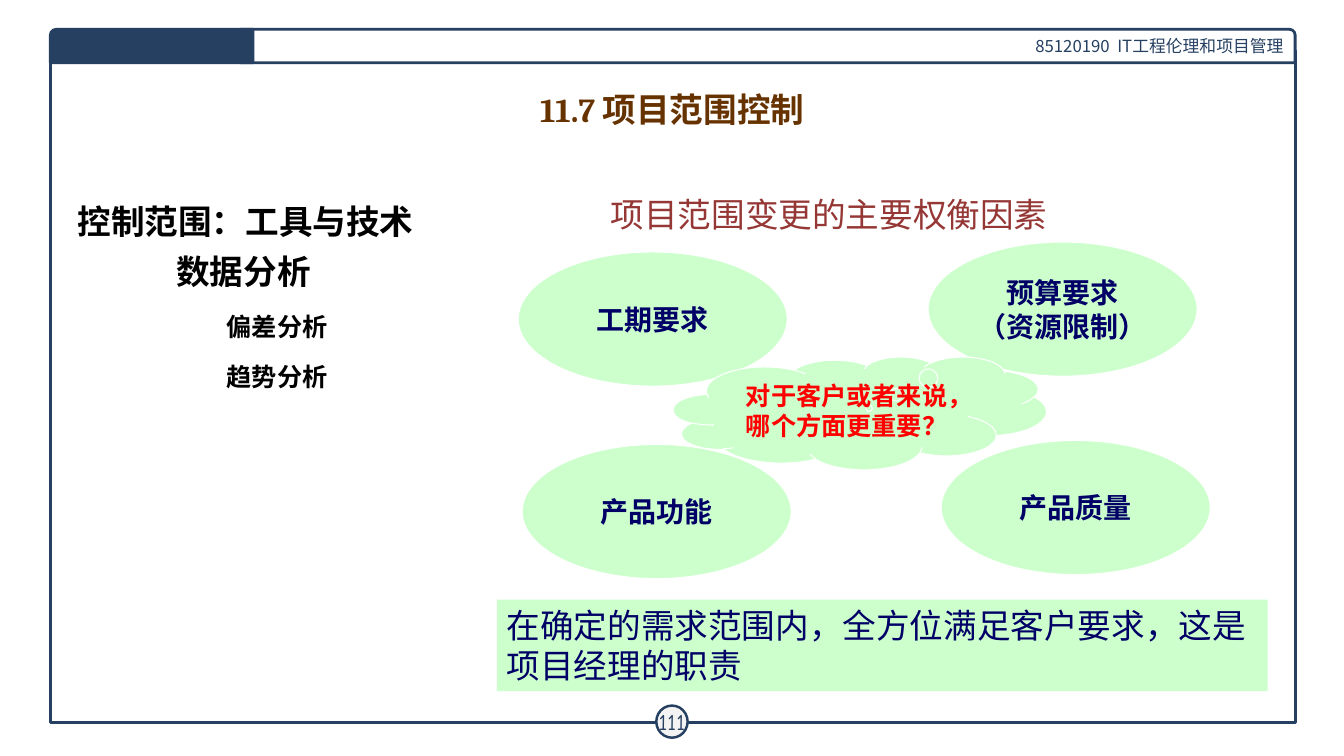
import pptx
import pptx.dml.color
import pptx.enum.shapes
import pptx.enum.text
import pptx.oxml.ns
import pptx.util
from pptx.util import Cm
from lxml import etree

SHAPE = pptx.enum.shapes.MSO_SHAPE
ALIGN = pptx.enum.text.PP_ALIGN
ANCHOR = pptx.enum.text.MSO_ANCHOR
qn = pptx.oxml.ns.qn

SANS = "Noto Sans CJK SC"
NAVY, GREEN, WHITE, INK = "254061", "CCFFCC", "FFFFFF", "000066"


def rgb(hex_colour):
    return pptx.dml.color.RGBColor.from_string(hex_colour)


def write(para, text, size=24, font=SANS, colour="000000", bold=False, align=None):
    """Add one formatted span; East Asian characters always use the sans face."""
    span = para.add_run()
    span.text = text
    span.font.size = pptx.util.Pt(size)
    span.font.name = font
    span.font.bold = bold
    span.font.color.rgb = rgb(colour)
    east_asian = etree.Element(qn("a:ea"), typeface=SANS)
    span.font._element.find(qn("a:latin")).addnext(east_asian)
    if align is not None:
        para.alignment = align


def place(shape, left, top, width, height):
    shape.left, shape.top = Cm(left), Cm(top)
    shape.width, shape.height = Cm(width), Cm(height)


def set_frame(shape, anchor=ANCHOR.MIDDLE, wrap=True):
    frame = shape.text_frame
    frame.auto_size = pptx.enum.text.MSO_AUTO_SIZE.NONE
    frame.word_wrap = wrap
    frame.vertical_anchor = anchor
    return frame


def add_panel(page, kind, bounds, fill=None, line=None, line_width=2.0,
              lines=(), anchor=ANCHOR.MIDDLE, wrap=True, **text_format):
    """Add a preset shape holding one paragraph for each of the given lines."""
    panel = page.shapes.add_shape(kind, *map(Cm, bounds))
    panel.shadow.inherit = False
    if fill:
        panel.fill.solid()
        panel.fill.fore_color.rgb = rgb(fill)
    else:
        panel.fill.background()
    if line:
        panel.line.color.rgb = rgb(line)
        panel.line.width = pptx.util.Pt(line_width)
    else:
        panel.line.fill.background()
    frame = set_frame(panel, anchor, wrap)
    for index, text in enumerate(lines):
        para = frame.add_paragraph() if index else frame.paragraphs[0]
        write(para, text, **text_format)
    return panel


def add_page_frame(page):
    add_panel(page, SHAPE.RECTANGLE, (1.27, 1.27, 31.37, 16.94), line=NAVY)
    add_panel(page, SHAPE.ROUND_1_RECTANGLE, (6.05, 0.74, 26.59, 0.84), WHITE, NAVY,
              lines=["85120190  IT工程伦理和项目管理"], size=12, colour=NAVY,
              align=ALIGN.RIGHT)
    number = add_panel(page, SHAPE.OVAL, (16.54, 17.78, 0.79, 0.81), "F3F3F3", NAVY, 1.75,
                       lines=["111"], wrap=False, size=16, font="Comic Neue",
                       colour=NAVY, align=ALIGN.CENTER)
    frame = number.text_frame
    frame.margin_left = frame.margin_right = Cm(0.1)
    frame.margin_top = frame.margin_bottom = Cm(0.1)
    corner = add_panel(page, SHAPE.ROUND_1_RECTANGLE, (1.27, 0.74, 5.11, 0.84), NAVY, NAVY)
    corner.adjustments[0] = 0.175
    corner._element.spPr.xfrm.set("flipH", "1")


def fill_title(title):
    place(title, 1.7, 2.13, 30.48, 1.22)
    write(set_frame(title).paragraphs[0], "11.7 项目范围控制", font="Cambria",
          colour="663300", bold=True, align=ALIGN.CENTER)


def fill_outline(body):
    place(body, 1.7, 4.67, 10.16, 5.21)
    frame = set_frame(body, ANCHOR.TOP)
    outline = [
        (0, 0, "控制范围：工具与技术", 24, SANS),
        (1, 2.49, "数据分析", 24, "Lato"),
        (2, 3.76, "偏差分析", 18, "Lato"),
        (2, 3.76, "趋势分析", 18, "Lato"),
    ]
    for index, (level, indent, text, size, font) in enumerate(outline):
        para = frame.add_paragraph() if index else frame.paragraphs[0]
        para.level = level
        properties = para._p.get_or_add_pPr()
        properties.set("marL", str(Cm(indent)))
        properties.set("indent", "0")
        etree.SubElement(properties, qn("a:buNone"))
        para.line_spacing = pptx.util.Pt(36)
        para.space_before = pptx.util.Pt(0)
        write(para, text, size=size, font=font, bold=True)


def add_factors(page):
    caption = page.shapes.add_textbox(Cm(15.14), Cm(4.75), Cm(11.96), Cm(1.27))
    write(set_frame(caption).paragraphs[0], "项目范围变更的主要权衡因素", colour="953735")
    factors = [
        (13.06, 6.35, ["工期要求"]),
        (13.16, 11.2, ["产品功能"]),
        (23.72, 11.1, ["产品质量"]),
        (23.39, 6.1, ["预算要求", "（资源限制）"]),
    ]
    for left, top, lines in factors:
        add_panel(page, SHAPE.OVAL, (left, top, 6.78, 3.38), GREEN, WHITE, 0.75,
                  lines=lines, wrap=False, size=20, colour=INK, bold=True,
                  align=ALIGN.CENTER)
    cloud = add_panel(page, SHAPE.CLOUD_CALLOUT, (16.97, 8.99, 9.4, 2.84), GREEN, WHITE, 0.75,
                      lines=["对于客户或者来说，", "哪个方面更重要？"], size=18,
                      colour="FF0000", bold=True, align=ALIGN.CENTER)
    cloud.adjustments[0], cloud.adjustments[1] = 0.025, -0.042
    add_panel(page, SHAPE.RECTANGLE, (12.52, 15.11, 19.43, 2.31), GREEN,
              lines=["在确定的需求范围内，全方位满足客户要求，这是项目经理的职责"],
              anchor=ANCHOR.TOP, font="Times New Roman", colour=INK, align=ALIGN.LEFT)


def main():
    deck = pptx.Presentation()
    deck.slide_width, deck.slide_height = Cm(33.87), Cm(19.05)
    page = deck.slides.add_slide(deck.slide_layouts[1])
    add_page_frame(page)
    fill_title(page.shapes.title)
    fill_outline(page.placeholders[1])
    add_factors(page)
    deck.save("out.pptx")


if __name__ == "__main__":
    main()
